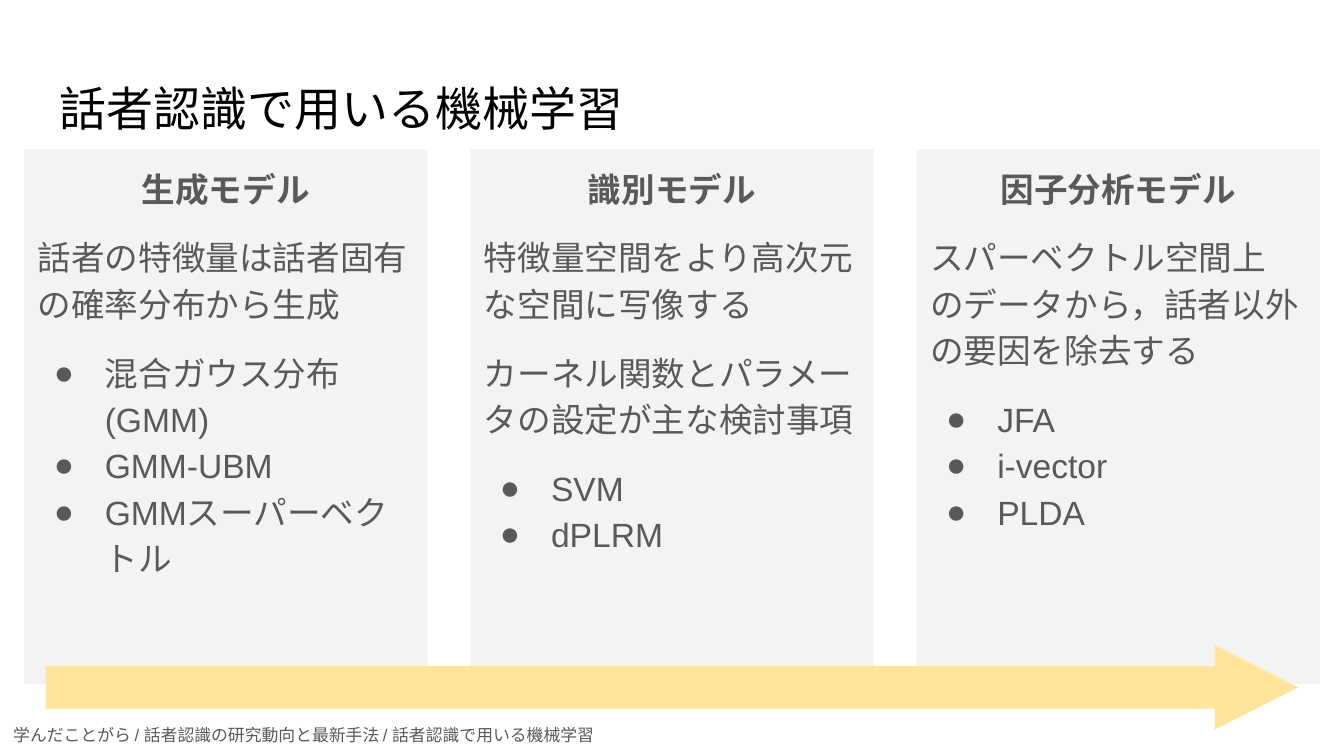
"""Build a slide comparing three families of speaker recognition models."""
import pptx
import pptx.dml.color
import pptx.enum.shapes
import pptx.enum.text
import pptx.oxml.ns
import pptx.util
from lxml import etree

TITLE = "話者認識で用いる機械学習"
FOOTER = "学んだことがら / 話者認識の研究動向と最新手法 / 話者認識で用いる機械学習"
MODELS = [
    {"heading": "生成モデル",
     "notes": ["話者の特徴量は話者固有の確率分布から生成"],
     "methods": ["混合ガウス分布(GMM)", "GMM-UBM", "GMMスーパーベクトル"]},
    {"heading": "識別モデル",
     "notes": ["特徴量空間をより高次元な空間に写像する",
               "カーネル関数とパラメータの設定が主な検討事項"],
     "methods": ["SVM", "dPLRM"]},
    {"heading": "因子分析モデル",
     "notes": ["スパーベクトル空間上\nのデータから，話者以外の要因を除去する"],
     "methods": ["JFA", "i-vector", "PLDA"]},
]
THEME = {
    "font": "Arial",
    "title": "000000", "text": "595959", "panel": "F3F3F3", "arrow": "FFE599",
    "title_size": 25.2, "body_size": 18, "footer_size": 9,
}
WIDTH = 10
HEIGHT = WIDTH * 9 / 16
MARGIN, GUTTER = 0.18, 0.32
COLUMN = (WIDTH - 2 * MARGIN - (len(MODELS) - 1) * GUTTER) / len(MODELS)
PANEL_TOP, PANEL_HEIGHT = 1.11, 3.98
BAND_LEFT, BAND_HEIGHT = 0.34, 0.63
BAND_WIDTH = WIDTH - 2 * BAND_LEFT
ALIGN = pptx.enum.text.PP_ALIGN


def color(name):
    return pptx.dml.color.RGBColor.from_string(THEME[name])


def place(box, left, top, width, height):
    box.left, box.top, box.width, box.height = map(
        pptx.util.Inches, (left, top, width, height))


def prepare(box):
    frame = box.text_frame
    frame.word_wrap = True
    frame.auto_size = pptx.enum.text.MSO_AUTO_SIZE.NONE
    frame.vertical_anchor = pptx.enum.text.MSO_ANCHOR.TOP
    for side in ("left", "top", "right", "bottom"):
        setattr(frame, f"margin_{side}", pptx.util.Inches(0.1))
    return frame


def set_bullet(para, bullet):
    properties = para._p.get_or_add_pPr()
    qn = pptx.oxml.ns.qn
    indent = (0.5, -0.38) if bullet else (0, 0)
    for key, value in zip(("marL", "indent"), indent):
        properties.set(key, str(int(pptx.util.Inches(value))))
    if not bullet:
        etree.SubElement(properties, qn("a:buNone"))
        return
    tint = etree.SubElement(properties, qn("a:buClr"))
    etree.SubElement(tint, qn("a:srgbClr"), val=THEME["text"])
    etree.SubElement(properties, qn("a:buFont"), typeface=THEME["font"])
    etree.SubElement(properties, qn("a:buChar"), char="●")


def write(para, text, size="body_size", tone="text", bold=False,
          align=ALIGN.LEFT, spacing=1.0, before=0, bullet=False):
    para.text = text
    set_bullet(para, bullet)
    para.alignment = align
    para.line_spacing = spacing
    para.space_before = pptx.util.Pt(before)
    for span in para.runs:
        span.font.name = THEME["font"]
        span.font.size = pptx.util.Pt(THEME[size])
        span.font.color.rgb = color(tone)
        span.font.bold = bold


def fill_panel(box, model):
    box.fill.solid()
    box.fill.fore_color.rgb = color("panel")
    frame = prepare(box)
    write(frame.paragraphs[0], model["heading"], bold=True,
          align=ALIGN.CENTER, spacing=1.15)
    for note in model["notes"]:
        write(frame.add_paragraph(), note, spacing=1.15, before=12)
    for index, method in enumerate(model["methods"]):
        write(frame.add_paragraph(), method, spacing=1.15,
              before=0 if index else 12, bullet=True)


def main():
    deck = pptx.Presentation()
    deck.slide_width = pptx.util.Inches(WIDTH)
    deck.slide_height = pptx.util.Inches(HEIGHT)
    page = deck.slides.add_slide(deck.slide_layouts.get_by_name("Comparison"))

    title, *bodies = list(page.placeholders)
    place(title, BAND_LEFT, 0.49, BAND_WIDTH, BAND_HEIGHT)
    write(prepare(title).paragraphs[0], TITLE, size="title_size", tone="title")

    for column, (box, model) in enumerate(zip(bodies, MODELS)):
        place(box, MARGIN + column * (COLUMN + GUTTER), PANEL_TOP,
              COLUMN, PANEL_HEIGHT)
        fill_panel(box, model)
    for spare in bodies[len(MODELS):]:
        spare.element.getparent().remove(spare.element)

    footer = page.shapes.add_textbox(0, 0, 0, 0)
    place(footer, 0, 5.29, 7.41, 0.34)
    write(prepare(footer).paragraphs[0], FOOTER, size="footer_size")

    arrow = page.shapes.add_shape(
        pptx.enum.shapes.MSO_SHAPE.RIGHT_ARROW, 0, 0, 0, 0)
    place(arrow, BAND_LEFT, 4.8, BAND_WIDTH, BAND_HEIGHT)
    arrow.adjustments[0], arrow.adjustments[1] = 0.5, 0.99
    arrow.shadow.inherit = False
    arrow.fill.solid()
    arrow.fill.fore_color.rgb = color("arrow")
    arrow.line.fill.background()

    deck.save("out.pptx")


if __name__ == "__main__":
    main()
